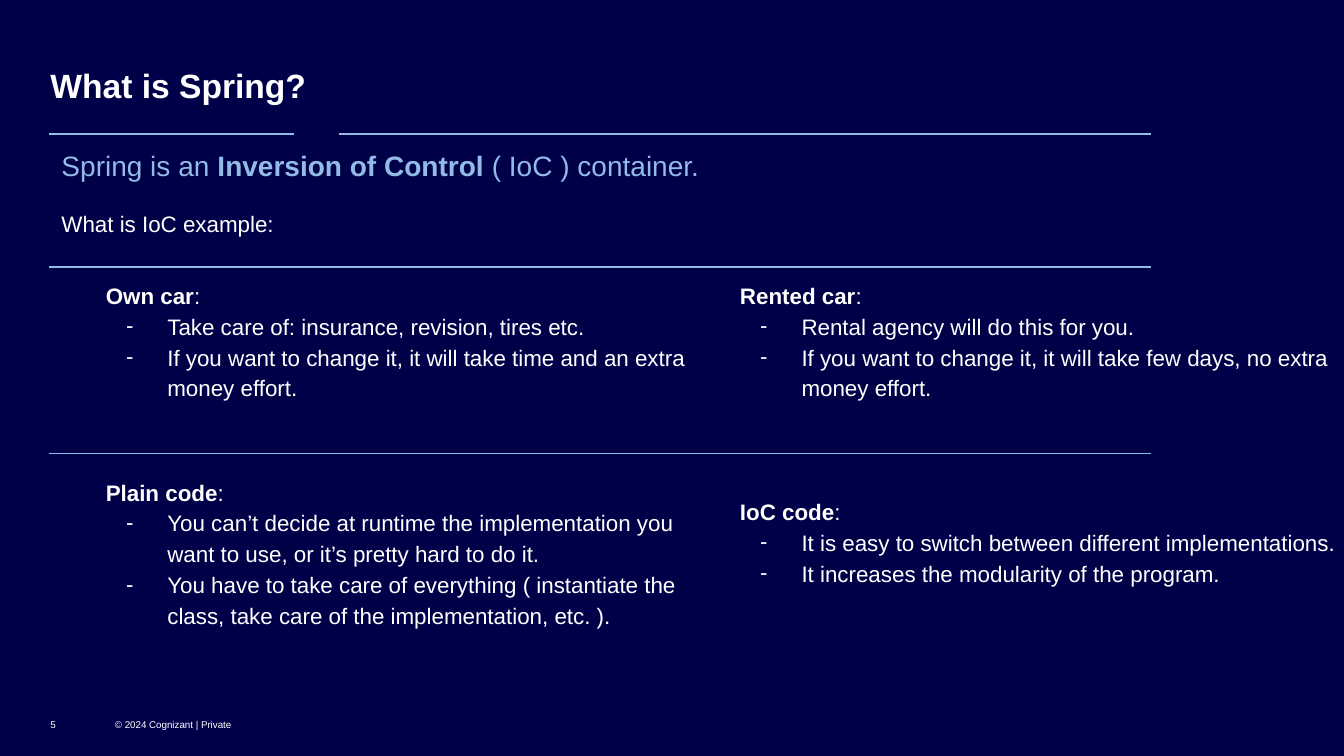
"""Build the slide that introduces Spring as an Inversion of Control container."""
from dataclasses import dataclass

from lxml import etree
from pptx import Presentation
from pptx import util as u
from pptx.dml.color import RGBColor
from pptx.enum import shapes, text
from pptx.oxml import ns

NAVY = RGBColor(0x00, 0x00, 0x48)
SKY = RGBColor(0x92, 0xBB, 0xE6)
WHITE = RGBColor(0xFF, 0xFF, 0xFF)
TOP, MIDDLE, BOTTOM = (
    text.MSO_ANCHOR.TOP, text.MSO_ANCHOR.MIDDLE, text.MSO_ANCHOR.BOTTOM)
LEFT_COLUMN, RIGHT_COLUMN = 0.99, 7.28
COLUMN_WIDTH = 6.06
CAR_TOP, CODE_TOP = 2.65, 4.5
RULE_LEFT, RULE_RIGHT = 0.49, 11.42


@dataclass(frozen=True)
class Line:
    """A single line of text, as (words, bold) phrases, with its box."""
    left: float
    top: float
    width: float
    height: float
    phrases: tuple[tuple[str, bool], ...]
    size: float
    color: RGBColor = WHITE
    anchor: text.MSO_ANCHOR = MIDDLE


@dataclass(frozen=True)
class Comparison:
    """A headed list on one side of the comparison."""
    left: float
    top: float
    height: float
    heading: str
    points: tuple[str, ...]
    heading_spacing: float = 1.0


@dataclass(frozen=True)
class Rule:
    """A horizontal separator."""
    left: float
    right: float
    top: float


LINES = (
    Line(0.5, 0.64, 11.82, 0.34, (("What is Spring?", True),), 24, anchor=TOP),
    Line(1.14, 7.04, 2, 0.21, (("© 2024 Cognizant | Private", False),), 7,
         anchor=BOTTOM),
    Line(0.5, 7.04, 0.39, 0.21, (("5", False),), 7, anchor=BOTTOM),
    Line(0.61, 1.44, 11.82, 0.4,
         (("Spring is an ", False), ("Inversion of Control", True),
          (" ( IoC ) container.", False)), 20, SKY),
    Line(0.61, 1.79, 12.11, 0.86, (("What is IoC example:", False),), 16),
)

COMPARISONS = (
    Comparison(LEFT_COLUMN, CAR_TOP, 1.48, "Own car", (
        "Take care of: insurance, revision, tires etc.",
        "If you want to change it, it will take time and an extra money effort.")),
    Comparison(RIGHT_COLUMN, CAR_TOP, 1.48, "Rented car", (
        "Rental agency will do this for you.",
        "If you want to change it, it will take few days, no extra money effort.")),
    Comparison(LEFT_COLUMN, CODE_TOP, 1.99, "Plain code", (
        "You can’t decide at runtime the implementation you want to use, "
        "or it’s pretty hard to do it.",
        "You have to take care of everything ( instantiate the class, "
        "take care of the implementation, etc. ).")),
    Comparison(RIGHT_COLUMN, CODE_TOP, 1.72, "IoC code", (
        "It is easy to switch between different implementations.",
        "It increases the modularity of the program."), 1.15),
)

RULES = (
    Rule(RULE_LEFT, 2.92, 1.33),
    Rule(3.36, RULE_RIGHT, 1.33),
    Rule(RULE_LEFT, RULE_RIGHT, CAR_TOP),
    Rule(RULE_LEFT, RULE_RIGHT, CODE_TOP),
)


def add_frame(slide, left: float, top: float, width: float, height: float, anchor):
    """Add a text box without margins and return its text frame."""
    frame = slide.shapes.add_textbox(
        *map(u.Inches, (left, top, width, height))).text_frame
    frame.word_wrap = True
    frame.vertical_anchor = anchor
    frame.margin_left = frame.margin_right = 0
    frame.margin_top = frame.margin_bottom = 0
    return frame


def indent(paragraph, margin: float, first: float = 0, bullet: str = "") -> None:
    """Set the indents of a paragraph and, if given, its bullet."""
    properties = paragraph._p.get_or_add_pPr()
    properties.set("marL", str(u.Inches(margin)))
    properties.set("indent", str(u.Inches(first)))
    if bullet:
        bullet_color = etree.SubElement(properties, ns.qn("a:buClr"))
        etree.SubElement(bullet_color, ns.qn("a:srgbClr"), val=str(WHITE))
        etree.SubElement(properties, ns.qn("a:buFont"), typeface="Arial")
        etree.SubElement(properties, ns.qn("a:buChar"), char=bullet)


def write(paragraph, phrases: tuple[tuple[str, bool], ...], size: float,
          color: RGBColor) -> None:
    """Write the phrases of a paragraph in one font."""
    paragraph.font.name = "Arial"
    paragraph.font.size = u.Pt(size)
    paragraph.font.color.rgb = color
    for words, bold in phrases:
        run = paragraph.add_run()
        run.text = words
        run.font.bold = bold


def add_line(slide, line: Line) -> None:
    """Add a single line of text."""
    frame = add_frame(slide, line.left, line.top, line.width, line.height, line.anchor)
    write(frame.paragraphs[0], line.phrases, line.size, line.color)


def add_comparison(slide, side: Comparison) -> None:
    """Add a heading and its dashed points."""
    frame = add_frame(slide, side.left, side.top, COLUMN_WIDTH, side.height, MIDDLE)
    heading = frame.paragraphs[0]
    indent(heading, 0.06)
    heading.line_spacing = side.heading_spacing
    write(heading, ((side.heading, True), (":", False)), 16, WHITE)
    for words in side.points:
        point = frame.add_paragraph()
        indent(point, 0.67, -0.41, "-")
        point.line_spacing = 1.15
        write(point, ((words, False),), 16, WHITE)


def add_rule(slide, rule: Rule) -> None:
    """Add a horizontal separator without a shadow."""
    separator = slide.shapes.add_connector(
        shapes.MSO_CONNECTOR.STRAIGHT,
        *map(u.Inches, (rule.left, rule.top, rule.right, rule.top)))
    separator.line.color.rgb = SKY
    separator.line.width = u.Pt(1.25)
    etree.SubElement(separator._element.spPr, ns.qn("a:effectLst"))


def main() -> None:
    """Build and save the presentation."""
    presentation = Presentation()
    presentation.slide_width = u.Inches(13.33)
    presentation.slide_height = u.Inches(7.5)
    slide = presentation.slides.add_slide(presentation.slide_layouts[6])
    slide.background.fill.solid()
    slide.background.fill.fore_color.rgb = NAVY
    for line in LINES:
        add_line(slide, line)
    for side in COMPARISONS:
        add_comparison(slide, side)
    for rule in RULES:
        add_rule(slide, rule)
    presentation.save("out.pptx")


if __name__ == "__main__":
    main()
